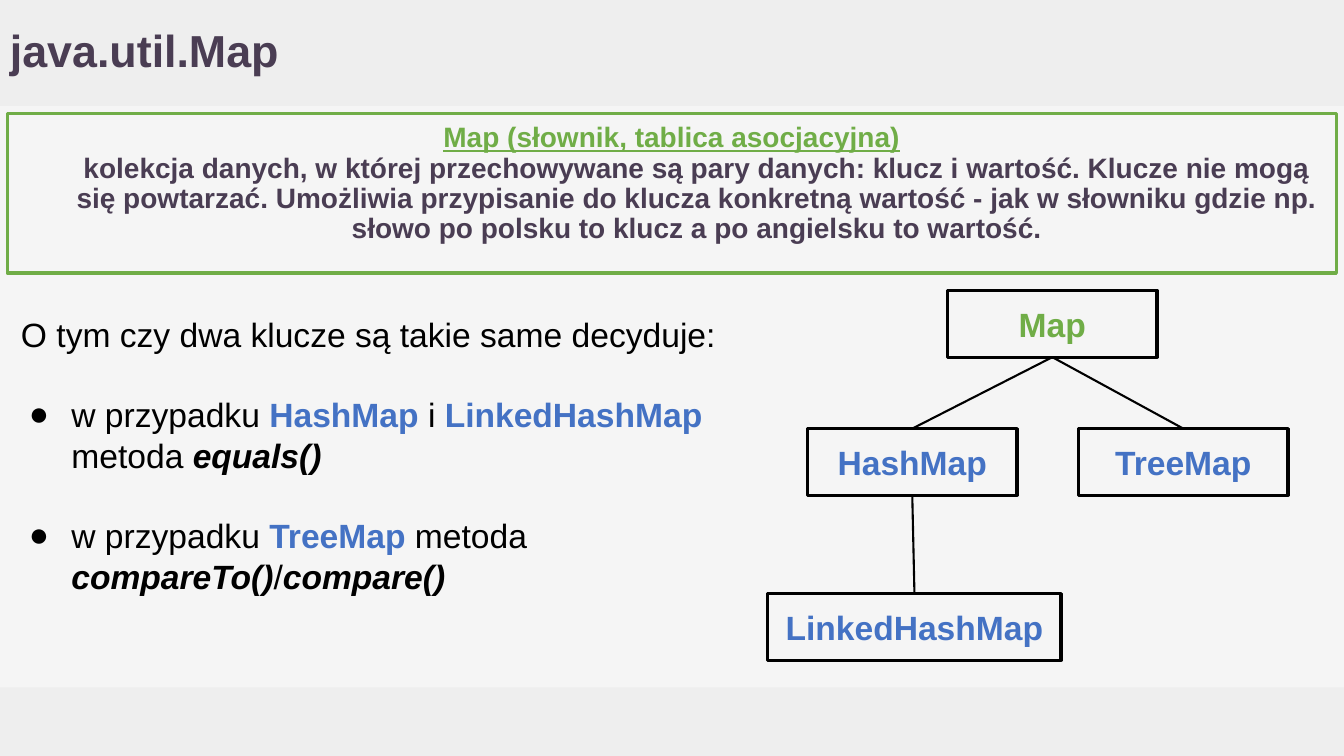
from lxml import etree
from pptx import Presentation
from pptx.dml.color import RGBColor
from pptx.enum.shapes import MSO_CONNECTOR, MSO_SHAPE
from pptx.enum.text import MSO_ANCHOR, MSO_AUTO_SIZE, PP_ALIGN
from pptx.oxml.ns import qn
from pptx.util import Cm, Pt

RECTANGLE = MSO_SHAPE.RECTANGLE
STRAIGHT = MSO_CONNECTOR.STRAIGHT
MIDDLE, TOP = MSO_ANCHOR.MIDDLE, MSO_ANCHOR.TOP
LEFT, CENTER = PP_ALIGN.LEFT, PP_ALIGN.CENTER
NO_AUTOFIT = MSO_AUTO_SIZE.NONE

PAPER = RGBColor(0xF5, 0xF5, 0xF5)
BAND = RGBColor(0xEE, 0xEE, 0xEE)
PLUM = RGBColor(0x4A, 0x3D, 0x53)
GREEN = RGBColor(0x70, 0xAD, 0x47)
BLUE = RGBColor(0x44, 0x72, 0xC4)
BLACK = RGBColor(0, 0, 0)

FONT = "Arial"
SLIDE_WIDTH, SLIDE_HEIGHT = 33.87, 19.05
HEADER_HEIGHT, FOOTER_HEIGHT = 2.67, 1.73
INSET = 0.25
NODE_HEIGHT = 1.68

DEFINITION_TERM = "Map (słownik, tablica asocjacyjna)"
DEFINITION = (
    "kolekcja danych, w której przechowywane są pary danych: klucz i wartość. "
    "Klucze nie mogą się powtarzać. Umożliwia przypisanie do klucza konkretną "
    "wartość - jak w słowniku gdzie np. słowo po polsku to klucz a po angielsku "
    "to wartość."
)
INTRODUCTION = "O tym czy dwa klucze są takie same decyduje:"
PLAIN, TYPE, METHOD = "plain", "type", "method"
RULES = [
    [("w przypadku ", PLAIN), ("HashMap ", TYPE), ("i ", PLAIN),
     ("LinkedHashMap ", TYPE), ("metoda ", PLAIN), ("equals()", METHOD)],
    [("w przypadku ", PLAIN), ("TreeMap ", TYPE), ("metoda ", PLAIN),
     ("compareTo()", METHOD), ("/", PLAIN), ("compare()", METHOD)],
]
NODES = {
    "Map": (4.53, 0, 5.28, GREEN),
    "HashMap": (1, 3.48, 5.28, BLUE),
    "TreeMap": (7.83, 3.48, 5.28, BLUE),
    "LinkedHashMap": (0, 7.64, 7.39, BLUE),
}
EDGES = [("Map", "HashMap"), ("Map", "TreeMap"), ("HashMap", "LinkedHashMap")]


def lengths(box):
    return [Cm(value) for value in box]


def format_run(run, size, color, bold=False, italic=False):
    run.font.name = FONT
    run.font.size = Pt(size)
    run.font.bold = bold
    run.font.italic = italic
    run.font.color.rgb = color


def prepare_frame(shape, anchor):
    frame = shape.text_frame
    frame.auto_size = NO_AUTOFIT
    frame.word_wrap = True
    frame.vertical_anchor = anchor
    frame.margin_left = frame.margin_right = Cm(INSET)
    frame.margin_top = frame.margin_bottom = Cm(INSET)
    return frame


def add_outlined_box(slide, box, color):
    shape = slide.shapes.add_shape(RECTANGLE, *lengths(box))
    shape.shadow.inherit = False
    shape.fill.background()
    shape.line.color.rgb = color
    shape.line.width = Pt(2.25)
    return shape


def set_indent(paragraph, left, first_line=0):
    properties = paragraph._p.get_or_add_pPr()
    properties.set("marL", str(Cm(left)))
    properties.set("indent", str(Cm(first_line)))
    return properties


def add_bullet(paragraph):
    properties = set_indent(paragraph, 1.27, -1.07)
    bullet_color = etree.SubElement(properties, qn("a:buClr"))
    etree.SubElement(bullet_color, qn("a:srgbClr"), val=str(BLACK))
    etree.SubElement(properties, qn("a:buFont"), typeface=FONT)
    etree.SubElement(properties, qn("a:buChar"), char="●")


def add_bands(slide):
    footer_top = SLIDE_HEIGHT - FOOTER_HEIGHT
    for top, height in ((footer_top, FOOTER_HEIGHT), (0, HEADER_HEIGHT)):
        band = slide.shapes.add_shape(
            RECTANGLE, *lengths((0, top, SLIDE_WIDTH, height)))
        band.shadow.inherit = False
        band.fill.solid()
        band.fill.fore_color.rgb = BAND
        band.line.fill.background()
        slide.shapes.title.element.addprevious(band.element)


def place_title(slide, box):
    title = slide.shapes.title
    title.left, title.top, title.width, title.height = lengths(box)
    frame = prepare_frame(title, MIDDLE)
    frame.text = "java.util.Map"
    paragraph = frame.paragraphs[0]
    paragraph.alignment = LEFT
    paragraph.line_spacing = 0.9
    format_run(paragraph.runs[0], 32, PLUM, bold=True)


def add_definition(slide, box):
    frame = prepare_frame(add_outlined_box(slide, box, GREEN), TOP)
    frame.text = f"{DEFINITION_TERM}\n{DEFINITION}"
    term, description = frame.paragraphs
    for paragraph, color in ((term, GREEN), (description, PLUM)):
        paragraph.alignment = CENTER
        paragraph.line_spacing = 0.9
        format_run(paragraph.runs[0], 20, color, bold=True)
    term.runs[0].font.underline = True
    set_indent(description, 1.27)


def add_key_rules(slide, box):
    frame = prepare_frame(slide.shapes.add_textbox(*lengths(box)), TOP)
    frame.text = INTRODUCTION
    format_run(frame.paragraphs[0].runs[0], 24, BLACK)
    for rule in RULES:
        paragraph = frame.add_paragraph()
        add_bullet(paragraph)
        paragraph.space_before = Pt(28.8)
        for text, kind in rule:
            run = paragraph.add_run()
            run.text = text
            format_run(run, 24, BLUE if kind == TYPE else BLACK,
                       bold=kind != PLAIN, italic=kind == METHOD)


def add_hierarchy(slide, left, top):
    shapes = {}
    for name, (offset_x, offset_y, width, color) in NODES.items():
        box = (left + offset_x, top + offset_y, width, NODE_HEIGHT)
        shapes[name] = add_outlined_box(slide, box, BLACK)
        frame = prepare_frame(shapes[name], MIDDLE)
        frame.text = name
        frame.paragraphs[0].alignment = CENTER
        format_run(frame.paragraphs[0].runs[0], 24, color, bold=True)
    for parent, child in EDGES:
        connector = slide.shapes.add_connector(STRAIGHT, 0, 0, 0, 0)
        connector.begin_connect(shapes[parent], 2)
        connector.end_connect(shapes[child], 0)
        connector.line.color.rgb = BLACK
        connector.line.width = Pt(1.5)
        etree.SubElement(connector.element.spPr, qn("a:effectLst"))


def main():
    presentation = Presentation()
    presentation.slide_width = Cm(SLIDE_WIDTH)
    presentation.slide_height = Cm(SLIDE_HEIGHT)
    slide = presentation.slides.add_slide(presentation.slide_layouts[5])
    slide.background.fill.solid()
    slide.background.fill.fore_color.rgb = PAPER
    add_bands(slide)
    place_title(slide, (0, 0, 30.28, HEADER_HEIGHT))
    add_definition(slide, (0.18, 2.87, 33.5, 4.01))
    add_key_rules(slide, (0.28, 7.65, 18.52, 9.37))
    add_hierarchy(slide, 19.35, 7.32)
    presentation.save("out.pptx")


if __name__ == "__main__":
    main()
